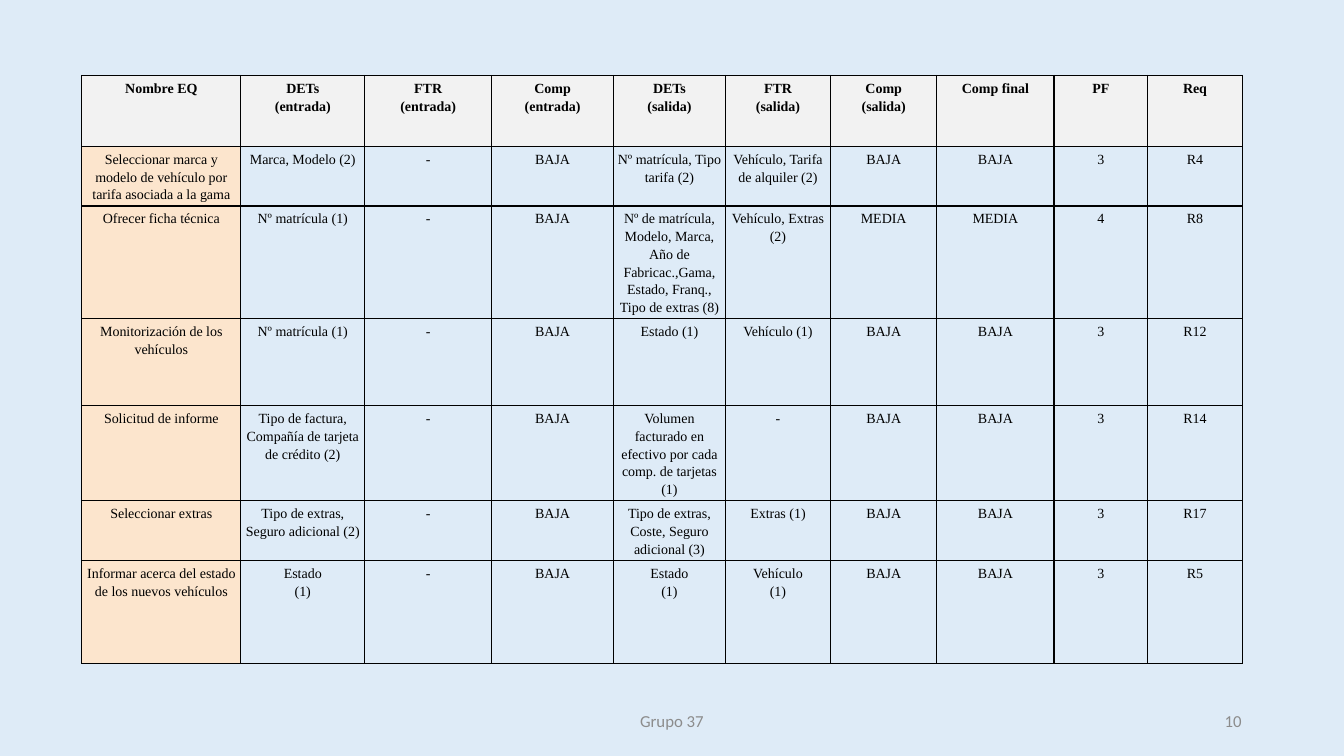
from lxml import etree
from pptx import Presentation
from pptx.dml.color import RGBColor
from pptx.enum.text import MSO_ANCHOR, PP_ALIGN
from pptx.oxml.ns import qn
from pptx.util import Cm, Pt

CENTER, RIGHT = PP_ALIGN.CENTER, PP_ALIGN.RIGHT
TOP, MIDDLE = MSO_ANCHOR.TOP, MSO_ANCHOR.MIDDLE
BLANK_LAYOUT = 6

BACKGROUND, HEADER, NAME = "DEEBF7", "F2F2F2", "FCE5CD"
INK, MUTED = "000000", "8C8C8C"
BORDER_WIDTH = Pt(1)
CELL_MARGIN = Cm(0.08)

COLUMN_WIDTHS = [4.01, 3.12, 3.2, 3.07, 2.82, 2.65, 2.68, 2.95, 2.36, 2.39]
ROW_HEIGHTS = [1.79, 1.49, 2.82, 2.19, 2.37, 1.49, 2.59]
ROWS = [
    ["Nombre EQ", "DETs\n(entrada)", "FTR\n(entrada)", "Comp\n(entrada)",
     "DETs\n(salida)", "FTR\n(salida)", "Comp\n(salida)", "Comp final", "PF", "Req"],
    ["Seleccionar marca y modelo de vehículo por tarifa asociada a la gama",
     "Marca, Modelo (2)", "-", "BAJA", "Nº matrícula, Tipo tarifa (2)",
     "Vehículo, Tarifa de alquiler (2)", "BAJA", "BAJA", "3", "R4"],
    ["Ofrecer ficha técnica", "Nº matrícula (1)", "-", "BAJA",
     "Nº de matrícula, Modelo, Marca, Año de Fabricac.,Gama, Estado, Franq., Tipo de extras (8)",
     "Vehículo, Extras (2)", "MEDIA", "MEDIA", "4", "R8"],
    ["Monitorización de los vehículos", "Nº matrícula (1)", "-", "BAJA",
     "Estado (1)", "Vehículo (1)", "BAJA", "BAJA", "3", "R12"],
    ["Solicitud de informe", "Tipo de factura, Compañía de tarjeta de crédito (2)",
     "-", "BAJA", "Volumen facturado en efectivo por cada comp. de tarjetas\n(1)",
     "-", "BAJA", "BAJA", "3", "R14"],
    ["Seleccionar extras", "Tipo de extras, Seguro adicional (2)", "-", "BAJA",
     "Tipo de extras, Coste, Seguro adicional (3)", "Extras (1)", "BAJA", "BAJA", "3", "R17"],
    ["Informar acerca del estado de los nuevos vehículos", "Estado\n(1)", "-", "BAJA",
     "Estado\n(1)", "Vehículo\n(1)", "BAJA", "BAJA", "3", "R5"],
]


def color(value):
    return RGBColor.from_string(value)


def format_text(text_frame, font, size, ink, alignment, spacing=1.0, bold=False):
    for paragraph in text_frame.paragraphs:
        paragraph.alignment = alignment
        paragraph.line_spacing = spacing
        for span in paragraph.runs:
            span.font.name = font
            span.font.size = Pt(size)
            span.font.bold = bold
            span.font.color.rgb = color(ink)


def add_borders(cell):
    properties = cell._tc.get_or_add_tcPr()
    for position, side in enumerate(("lnL", "lnR", "lnT", "lnB")):
        line = etree.Element(qn(f"a:{side}"), w=str(BORDER_WIDTH))
        fill = etree.SubElement(line, qn("a:solidFill"))
        etree.SubElement(fill, qn("a:srgbClr"), val=INK)
        properties.insert(position, line)


def fill_cell(cell, text, is_header, is_name):
    cell.margin_left = cell.margin_right = CELL_MARGIN
    cell.margin_top = cell.margin_bottom = CELL_MARGIN
    cell.vertical_anchor = TOP
    cell.text_frame.text = text
    format_text(cell.text_frame, "Times New Roman", 10, INK, CENTER, 1.15, is_header)
    if is_header or is_name:
        cell.fill.solid()
        cell.fill.fore_color.rgb = color(HEADER if is_header else NAME)
    else:
        cell.fill.background()
    add_borders(cell)


def add_query_table(page, left, top):
    table = page.shapes.add_table(
        len(ROWS), len(COLUMN_WIDTHS), left, top,
        Cm(sum(COLUMN_WIDTHS)), Cm(sum(ROW_HEIGHTS))).table
    table.first_row = False
    table.horz_banding = False
    for column, width in zip(table.columns, COLUMN_WIDTHS):
        column.width = Cm(width)
    for row, height in zip(table.rows, ROW_HEIGHTS):
        row.height = Cm(height)
    for row_number, texts in enumerate(ROWS):
        for column_number, text in enumerate(texts):
            fill_cell(table.cell(row_number, column_number), text,
                      row_number == 0, column_number == 0)


def add_footer_text(page, text, left, top, width, height, alignment):
    box = page.shapes.add_textbox(left, top, width, height)
    box.text_frame.word_wrap = True
    box.text_frame.vertical_anchor = MIDDLE
    box.text_frame.text = text
    format_text(box.text_frame, "Calibri", 12, MUTED, alignment)


def add_footer(page, left, top, width, height):
    group_width, number_width = Cm(11.43), Cm(7.62)
    add_footer_text(page, "Grupo 37", left + (width - group_width) // 2, top,
                    group_width, height, CENTER)
    add_footer_text(page, "10", left + width - number_width, top,
                    number_width, height, RIGHT)


def main():
    deck = Presentation()
    deck.slide_width, deck.slide_height = Cm(33.87), Cm(19.05)
    page = deck.slides.add_slide(deck.slide_layouts[BLANK_LAYOUT])
    page.background.fill.solid()
    page.background.fill.fore_color.rgb = color(BACKGROUND)
    add_query_table(page, Cm(2.06), Cm(1.9))
    add_footer(page, Cm(2.33), Cm(17.66), Cm(29.21), Cm(1.01))
    deck.save("out.pptx")


if __name__ == "__main__":
    main()
